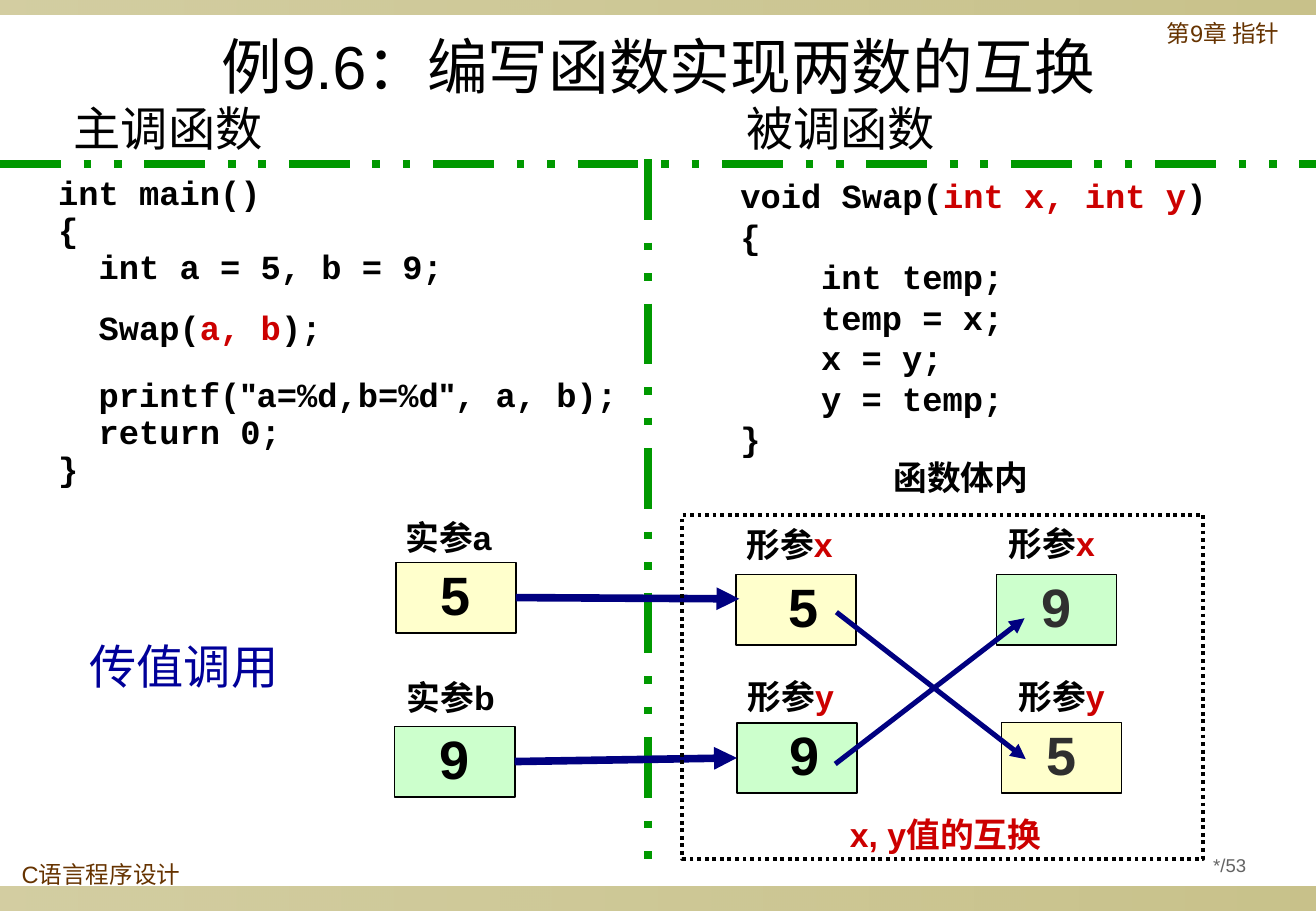
from pptx import Presentation
from pptx.dml.color import RGBColor
from pptx.enum.dml import MSO_LINE
from pptx.enum.shapes import MSO_CONNECTOR, MSO_SHAPE
from pptx.enum.text import MSO_ANCHOR, PP_ALIGN
from pptx.oxml.ns import qn
from pptx.util import Inches, Pt
from lxml import etree

RECT, STRAIGHT = MSO_SHAPE.RECTANGLE, MSO_CONNECTOR.STRAIGHT
LEFT, CENTER = PP_ALIGN.LEFT, PP_ALIGN.CENTER
TOP, MIDDLE = MSO_ANCHOR.TOP, MSO_ANCHOR.MIDDLE
DASH, DOT = MSO_LINE.DASH_DOT_DOT, MSO_LINE.ROUND_DOT
SIDE_LEFT, SIDE_RIGHT = 1, 3

ARIAL, CODE, CJK = "Arial", "Courier New", "Noto Sans CJK SC"
CHAR = 1 / 6  # width in inches of one code character at 20 pt
COLORS = {
    "black": "000000", "red": "CC0000", "brown": "663300", "blue": "000099",
    "navy": "000080", "green": "009900", "yellow_box": "FFFFCC",
    "green_box": "CCFFCC", "dark": "2F2F2F", "gray": "636363", "band": "918415",
}


def rgb(name):
    return RGBColor.from_string(COLORS[name])


def write(tf, runs, size=20, font=ARIAL, color="black", bold=False,
          align=LEFT, spacing=0.9, before=0, indent=0):
    """Add a paragraph; runs is a string or a list of (text, overrides)."""
    p = tf.paragraphs[0]
    if p.runs:
        p = tf.add_paragraph()
    p.alignment, p.line_spacing, p.space_before = align, spacing, Pt(before)
    if indent:
        p._p.get_or_add_pPr().set("marL", str(Inches(indent)))
    for text, own in [(runs, {})] if isinstance(runs, str) else runs:
        r = p.add_run()
        r.text = text
        r.font.size, r.font.bold = Pt(size), bold
        r.font.name = own.get("font", font)
        r.font.color.rgb = rgb(own.get("color", color))
        etree.SubElement(r._r.get_or_add_rPr(), qn("a:ea"), typeface=CJK)


def add_text(s, x, y, w, h, runs=None, wrap=True, anchor=TOP, **fmt):
    tf = s.shapes.add_textbox(Inches(x), Inches(y), Inches(w), Inches(h)).text_frame
    tf.word_wrap, tf.vertical_anchor = wrap, anchor
    if runs:
        write(tf, runs, **fmt)
    return tf


def add_rect(s, x, y, w, h):
    sp = s.shapes.add_shape(RECT, Inches(x), Inches(y), Inches(w), Inches(h))
    sp.shadow.inherit = False
    return sp


def add_band(s, y, h):
    sp = add_rect(s, 0, y, 10.84, h)
    sp.line.fill.background()
    sp.fill.gradient()
    sp.fill.gradient_angle = 0
    for stop in sp.fill.gradient_stops:
        stop.color.rgb = rgb("band")
    for clr, alpha in zip(sp.element.spPr.iter(qn("a:srgbClr")), (40000, 50000)):
        etree.SubElement(clr, qn("a:alpha"), val=str(alpha))


def add_value(s, x, y, value, fill, color="black", width=1):
    sp = add_rect(s, x, y, 0.99, 0.58)
    sp.fill.solid()
    sp.fill.fore_color.rgb = rgb(fill)
    sp.line.color.rgb = rgb("black")
    sp.line.width = Pt(width)
    sp.text_frame.vertical_anchor = TOP
    write(sp.text_frame, value, size=32, color=color, bold=True, align=CENTER)
    return sp


def add_line(s, x1, y1, x2, y2, color, width, dash=None, arrow=False):
    c = s.shapes.add_connector(STRAIGHT, Inches(x1), Inches(y1), Inches(x2), Inches(y2))
    c.line.color.rgb = rgb(color)
    c.line.width = Pt(width)
    if dash:
        c.line.dash_style = dash
    if arrow:
        etree.SubElement(c.line._get_or_add_ln(), qn("a:tailEnd"), type="triangle")
    etree.SubElement(c.element.spPr, qn("a:effectLst"))
    return c


def add_code(s, x, y, w, h, lines, wrap=True):
    """Lines are (indent in characters, runs, line spacing, space before)."""
    tf = add_text(s, x, y, w, h, wrap=wrap)
    for chars, runs, spacing, before in lines:
        write(tf, runs, font=CODE, bold=True, indent=chars * CHAR,
              spacing=Pt(spacing), before=before)


def add_code_columns(s):
    red, quote = {"color": "red"}, ('"', {"font": ARIAL})
    add_code(s, 0.38, 1.39, 5.62, 2.69, [
        (0, "int main()", 22, 0),
        (0, "{", 22, 0),
        (2, "int a = 5, b = 9;", 22, 0),
        (2, [("Swap(", {}), ("a, b", red), (");", {})], 18, 18),
        (2, [("printf(", {}), quote, ("a=%d,b=%d", {}), quote, (", a, b);", {})], 22, 18),
        (2, "return 0;", 22, 0),
        (0, "}", 22, 0),
    ])
    body = ["int temp;", "temp = x;", "x = y;", "y = temp;"]
    add_code(s, 6, 1.39, 4.04, 2.44, [
        (0, [("void Swap(", {}), ("int x, int y", red), (")", {})], 24, 0),
        (0, "{", 24, 0),
        *[(4, line, 24, 0) for line in body],
        (0, "}", 24, 0),
    ], wrap=False)


def add_swap_diagram(s):
    # Arguments and parameters with their values
    a = add_value(s, 3.26, 4.63, "5", "yellow_box")
    b = add_value(s, 3.25, 5.98, "9", "green_box")
    add_value(s, 6.06, 4.73, " 5", "yellow_box")
    y = add_value(s, 6.07, 5.95, " 9", "green_box")
    add_value(s, 8.21, 4.73, "9", "green_box", "dark", 0.75)
    add_value(s, 8.25, 5.95, "5", "yellow_box", "dark", 0.75)

    # Labels above the values
    for left, top, kind, name, color in [
        (3.24, 4.24, "实参", "a", "black"), (3.25, 5.56, "实参", "b", "black"),
        (6.05, 4.3, "形参", "x", "red"), (6.06, 5.55, "形参", "y", "red"),
        (8.21, 4.29, "形参", "x", "red"), (8.29, 5.55, "形参", "y", "red"),
    ]:
        add_text(s, left, top, 1.24, 0.4, [(kind, {}), (name, {"color": color})], bold=True)
    add_text(s, 6.1, 6.69, 3.38, 0.4, "x, y值的互换", color="red", bold=True, align=CENTER)
    add_text(s, 6.72, 3.75, 2.39, 0.4, "函数体内", bold=True, align=CENTER)

    # Passing by value, then swapping
    pass_a = add_line(s, 4.28, 4.93, 6.09, 4.93, "navy", 4.5, arrow=True)
    pass_a.begin_connect(a, SIDE_RIGHT)
    pass_b = add_line(s, 4.25, 6.27, 6.06, 6.27, "navy", 4.5, arrow=True)
    pass_b.begin_connect(b, SIDE_RIGHT)
    pass_b.end_connect(y, SIDE_LEFT)
    add_line(s, 6.88, 6.29, 8.44, 5.09, "navy", 3, arrow=True)
    add_line(s, 6.89, 5.04, 8.45, 6.25, "navy", 3, arrow=True)

    # Frame of the function body
    frame = add_rect(s, 5.62, 4.24, 4.29, 2.83)
    frame.fill.background()
    frame.line.color.rgb = rgb("black")
    frame.line.width = Pt(2.25)
    frame.line.dash_style = DOT


def main():
    prs = Presentation()
    prs.slide_width, prs.slide_height = Inches(10.84), Inches(7.5)
    s = prs.slides.add_slide(prs.slide_layouts[6])

    # Bands, header and footer
    add_band(s, 7.3, 0.2)
    add_band(s, 0, 0.12)
    add_text(s, 0.08, 7.06, 1.7, 0.32, "C语言程序设计", size=14, color="brown")
    add_text(s, 9.51, 0.13, 1.15, 0.39, "第9章 指针", size=14, color="brown")
    add_text(s, 9.59, 6.98, 1.08, 0.31, "*/53", size=11, color="gray",
             align=CENTER, anchor=MIDDLE)

    # Title and headings
    add_text(s, 0.38, 0.28, 10.08, 0.61, "例9.6：编写函数实现两数的互换",
             size=36, align=CENTER, spacing=0.85)
    for x, y, heading, color in [(0.51, 0.82, "主调函数", "black"),
                                 (6.05, 0.82, "被调函数", "black"),
                                 (0.64, 5.25, "传值调用", "blue")]:
        add_text(s, x, y, 2.39, 0.52, heading, size=28, font=CJK, color=color)

    # Dividers
    add_line(s, 5.34, 1.31, 5.34, 7.22, "green", 4.5, dash=DASH)
    add_line(s, 0, 1.35, 10.84, 1.35, "green", 4.5, dash=DASH)

    add_code_columns(s)
    add_swap_diagram(s)
    prs.save("out.pptx")


if __name__ == "__main__":
    main()
